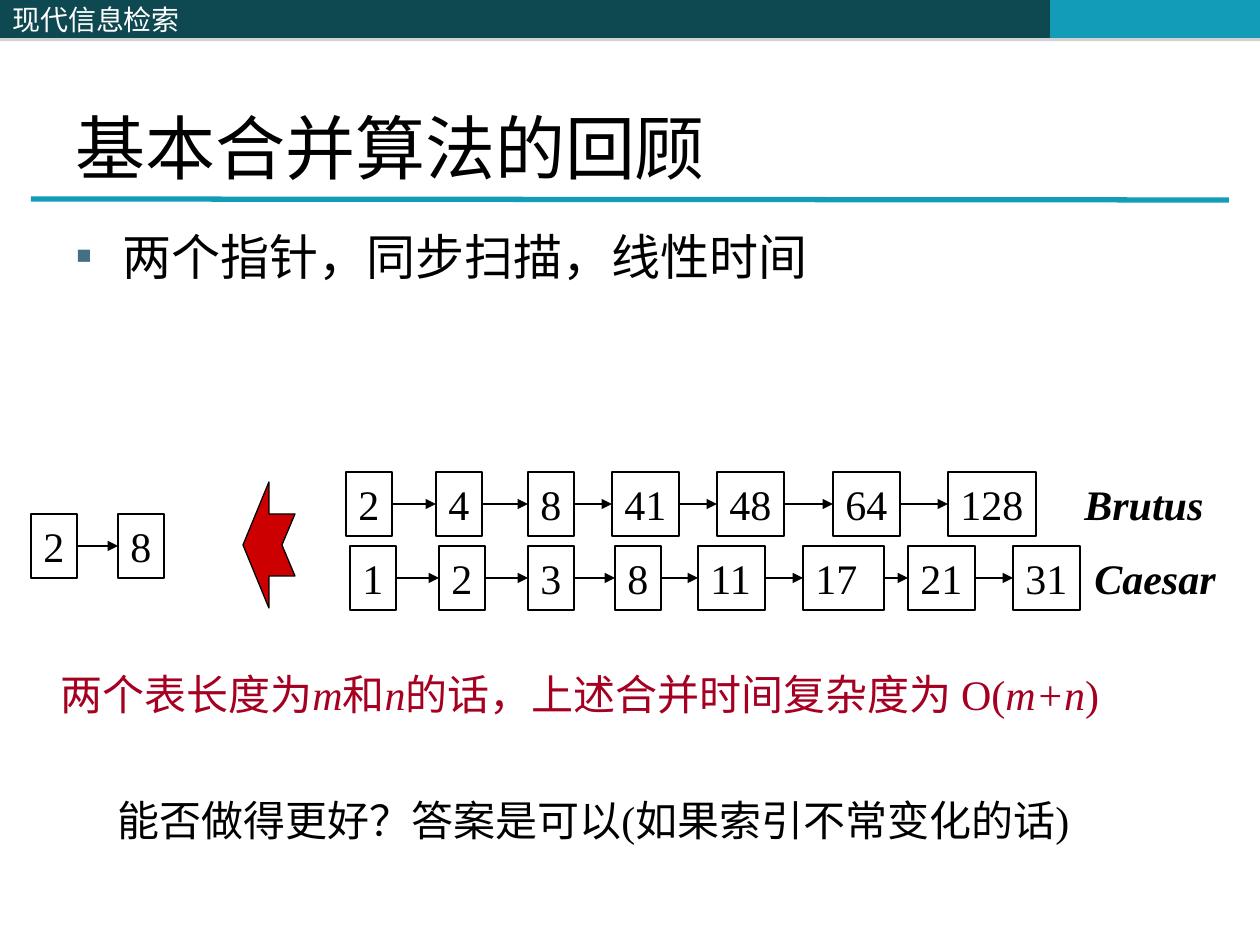
from dataclasses import dataclass
from lxml.etree import SubElement as Sub
from pptx import Presentation
from pptx.dml.color import RGBColor as Rgb
from pptx.enum.shapes import MSO_CONNECTOR as Conn, MSO_SHAPE as Kind
from pptx.enum.text import MSO_ANCHOR as Anchor, PP_ALIGN as Align
from pptx.oxml.ns import qn
from pptx.util import Emu, Pt


@dataclass(frozen=True)
class Theme:
    serif: str = "Times New Roman"
    sans: str = "Noto Sans CJK SC"
    ink: str = "000000"
    white: str = "FFFFFF"
    dark: str = "0E4851"
    teal: str = "139CB7"
    bullet: str = "437085"
    red: str = "CC0000"
    wine: str = "A50021"
    shade: str = "808080"
    small: int = 16
    text: int = 24
    lead: int = 28
    title: int = 40
    thin: float = 0.75
    thick: int = 3


T = Theme()
CELL = 64


def px(n):
    return Emu(round(n * 914400 / 126))


def place(box):
    return [px(n) for n in box]


def write(shape, runs, size=T.text, color=T.ink, font=T.serif,
          bold=False, wrap=False, anchor=Anchor.TOP):
    frame = shape.text_frame
    frame.word_wrap = wrap
    frame.vertical_anchor = anchor
    para = frame.paragraphs[0]
    para.alignment = Align.LEFT
    for words, slant in runs:
        run = para.add_run()
        run.text = words
        face = run.font
        face.name, face.size = font, Pt(size)
        face.bold, face.italic = bold, slant
        face.color.rgb = Rgb.from_string(color)
        Sub(run._r.get_or_add_rPr(), qn("a:ea"), typeface=T.sans)
    return para


def label(slide, box, runs, **look):
    return write(slide.shapes.add_textbox(*place(box)), runs, **look)


def link(slide, start, end, color=T.ink, width=T.thin, head=True):
    line = slide.shapes.add_connector(Conn.STRAIGHT, *place(start + end))
    line.line.color.rgb = Rgb.from_string(color)
    line.line.width = Pt(width)
    if head:
        Sub(line.line._get_or_add_ln(), qn("a:tailEnd"), type="triangle")
    Sub(line._element.spPr, qn("a:effectLst"))


def bar(slide, box, color):
    shape = slide.shapes.add_shape(Kind.RECTANGLE, *place(box))
    shape.fill.solid()
    shape.fill.fore_color.rgb = Rgb.from_string(color)
    shape.line.fill.background()
    shape.shadow.inherit = False
    glow = Sub(shape._element.spPr.find(qn("a:effectLst")), qn("a:outerShdw"),
               dist=str(Pt(1.8)), dir="5400000", rotWithShape="0")
    tint = Sub(glow, qn("a:srgbClr"), val=T.shade)
    Sub(tint, qn("a:alpha"), val="35000")
    return shape


def header(slide, box):
    x, y, w, h = box
    mid, end = x + 514, x + 1050
    bar(slide, (mid, y, end - mid, h), T.dark)
    bar(slide, (end, y, x + w - end, h), T.teal)
    name = bar(slide, (x, y, mid - x, h), T.dark)
    write(name, [("现代信息检索", False)], size=T.small, color=T.white,
          font=T.sans, wrap=True, anchor=Anchor.MIDDLE)


def heading(slide, box):
    x, y, w, h = box
    title = slide.shapes.title
    title.left, title.top, title.width, title.height = place(box)
    write(title, [("基本合并算法的回顾", False)], size=T.title, wrap=True,
          anchor=Anchor.BOTTOM)
    rule = y + h + 4
    link(slide, (x - 32, rule), (x + w + 32, rule + 1), T.teal, T.thick, False)


def body(slide, box):
    para = label(slide, box, [("两个指针，同步扫描，线性时间", False)],
                 size=T.lead, wrap=True)
    para.space_before = Pt(7)
    props = para._p.get_or_add_pPr()
    props.set("marL", str(px(47)))
    props.set("indent", str(px(-47)))
    Sub(Sub(props, qn("a:buClr")), qn("a:srgbClr"), val=T.bullet)
    Sub(props, qn("a:buFont"), typeface=T.serif)
    Sub(props, qn("a:buChar"), char="▪")


def cell(slide, box, word):
    shape = slide.shapes.add_shape(Kind.RECTANGLE, *place(box))
    shape.fill.background()
    shape.line.color.rgb = Rgb.from_string(T.ink)
    shape.line.width = Pt(T.thin)
    shape.shadow.inherit = False
    write(shape, [(word, False)])


def chain(slide, x, y, nodes):
    mid, last = y + CELL // 2, None
    for step, word, extra in nodes:
        left, wide = x + step, 25 + 21 * len(word) + extra
        if last is not None:
            link(slide, (last, mid), (left, mid))
        cell(slide, (left, y, wide, CELL), word)
        last = left + wide


def merge(slide, box):
    x, y, w, h = box
    half, mid, stem = x + w // 2, y + h // 2, h // 4
    pen = slide.shapes.build_freeform(px(x + w), px(mid + stem))
    spots = [(half, mid + stem), (half, y + h), (x, mid), (half, y),
             (half, mid - stem), (x + w, mid - stem), (x + w * 3 // 4, mid)]
    pen.add_line_segments([place(spot) for spot in spots], close=True)
    shape = pen.convert_to_shape()
    shape.fill.solid()
    shape.fill.fore_color.rgb = Rgb.from_string(T.red)
    shape.line.color.rgb = Rgb.from_string(T.ink)
    shape.line.width = Pt(T.thin)
    shape.shadow.inherit = False


def lists(slide, box):
    x, y, w, h = box
    low = y + h - CELL
    chain(slide, x + 315, y, [
        (0, "2", 0), (90, "4", 0), (182, "8", 0), (266, "41", 0),
        (371, "48", 0), (487, "64", 0), (602, "128", 0)])
    chain(slide, x + 319, low, [
        (0, "1", 0), (89, "2", 0), (178, "3", 0), (265, "8", 0),
        (348, "11", 0), (453, "17", 14), (558, "21", 0), (663, "31", 0)])
    chain(slide, x, y + 42, [(0, "2", 0), (87, "8", 0)])
    label(slide, (x + 1041, y, 150, CELL), [("Brutus", True)], bold=True)
    label(slide, (x + 1051, low, 150, CELL), [("Caesar", True)], bold=True)
    merge(slide, (x + 212, y + 10, 52, 126))


def notes(slide, box):
    x, y, w, h = box
    label(slide, (x, y, w, 113), [
        ("两个表长度为", False), ("m", True), ("和", False), ("n", True),
        ("的话，上述合并时间复杂度为 O(", False), ("m+n", True), (")", False),
    ], color=T.wine)
    label(slide, (x + 57, y + h - CELL, 1061, CELL),
          [("能否做得更好？答案是可以(如果索引不常变化的话)", False)], wrap=True)


def main():
    deck = Presentation()
    deck.slide_width, deck.slide_height = px(1260), px(945)
    slide = deck.slides.add_slide(deck.slide_layouts[5])
    header(slide, (0, 0, 1260, 38))
    heading(slide, (63, 38, 1134, 157))
    body(slide, (63, 220, 1134, 683))
    lists(slide, (31, 472, 1197, 138))
    notes(slide, (48, 662, 1115, 190))
    deck.save("out.pptx")


if __name__ == "__main__":
    main()
